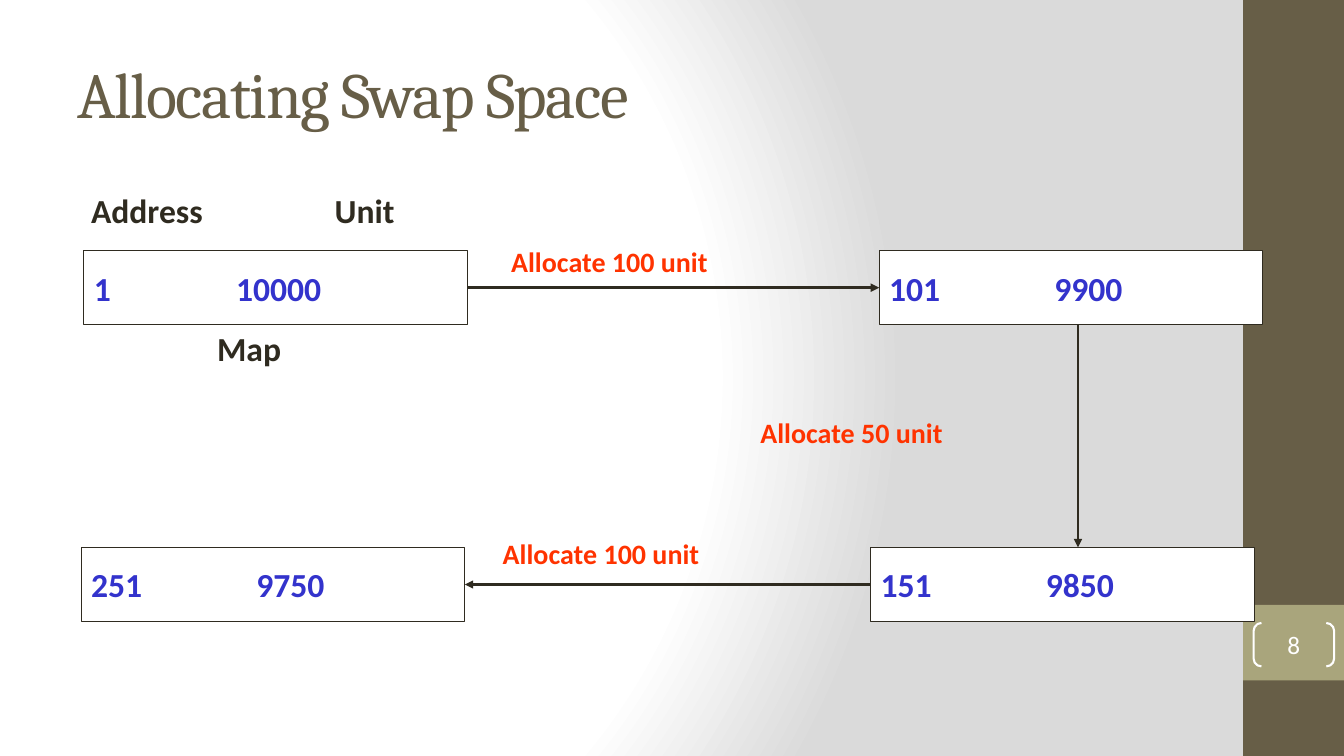
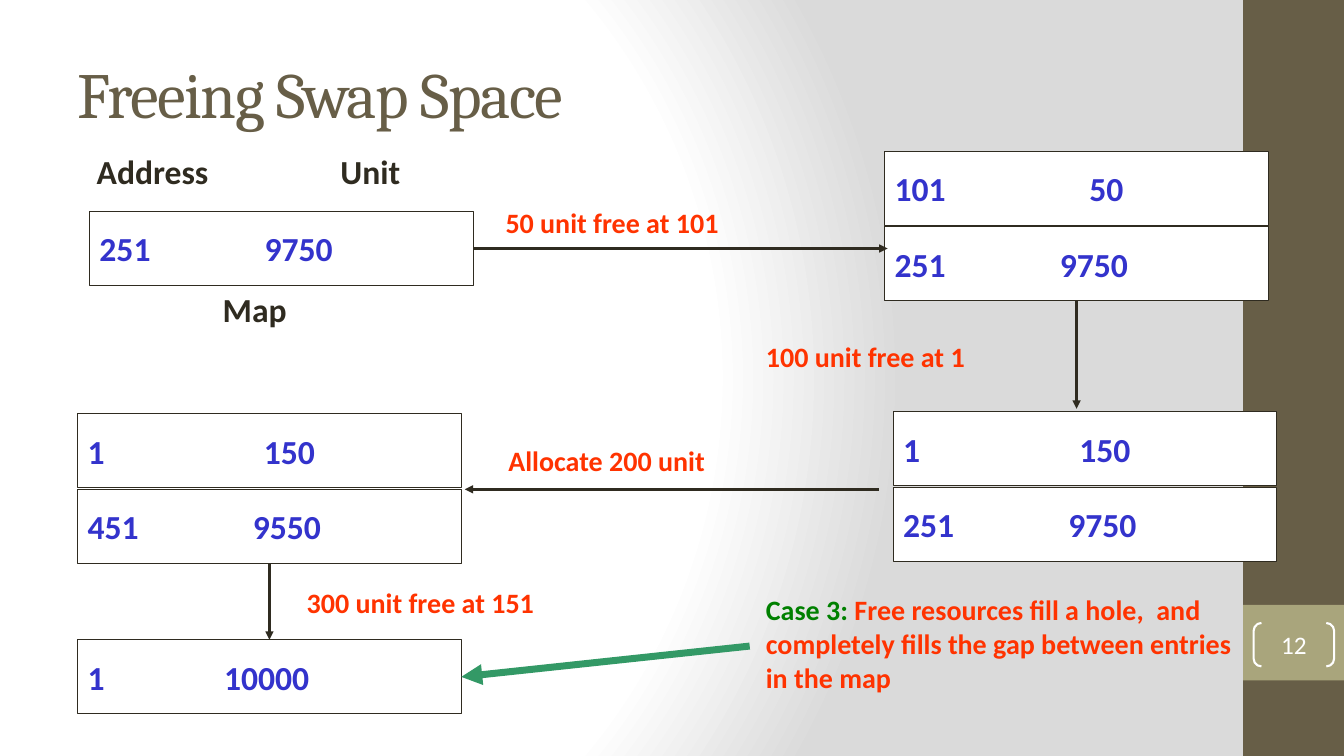
from pptx import Presentation
from pptx.dml.color import RGBColor
from pptx.enum.shapes import MSO_CONNECTOR, MSO_SHAPE
from pptx.enum.text import MSO_ANCHOR, PP_ALIGN
from pptx.oxml import parse_xml
from pptx.oxml.ns import nsdecls
from pptx.util import Pt
from lxml.etree import SubElement
from pptx.oxml.ns import qn

INK, BLUE, RED, GREEN = "2F2B20", "3333CC", "FF3300", "008000"
BROWN, OLIVE, WHITE, JADE = "675E47", "A9A57C", "FFFFFF", "339966"
WIDE, HIGH, PITCH = 274, 53, 54


def tint(code):
    return RGBColor.from_string(code)


def write(para, text, size, code, bold=True, face="Calibri"):
    run = para.add_run()
    run.text = text
    run.font.size = Pt(size)
    run.font.name = face
    run.font.bold = bold
    run.font.color.rgb = tint(code)
    return run


def shape(slide, kind, left, top, width, height, fill=None, line=None, weight=0.75):
    item = slide.shapes.add_shape(kind, Pt(left), Pt(top), Pt(width), Pt(height))
    item.shadow.inherit = False
    if fill:
        item.fill.solid()
        item.fill.fore_color.rgb = tint(fill)
    else:
        item.fill.background()
    if line:
        item.line.color.rgb = tint(line)
        item.line.width = Pt(weight)
    else:
        item.line.fill.background()
    return item


def label(slide, left, top, runs, size=20, width=190, height=32):
    area = slide.shapes.add_textbox(Pt(left), Pt(top), Pt(width), Pt(height))
    area.text_frame.word_wrap = True
    for text, code in runs:
        write(area.text_frame.paragraphs[0], text, size, code)


def entry(slide, left, top, start, units, tab=118):
    box = shape(slide, MSO_SHAPE.RECTANGLE, left, top, WIDE, HIGH, WHITE, INK)
    frame = box.text_frame
    frame.word_wrap = True
    frame.vertical_anchor = MSO_ANCHOR.MIDDLE
    para = frame.paragraphs[0]
    para.alignment = PP_ALIGN.LEFT
    tabs = SubElement(para._p.get_or_add_pPr(), qn("a:tabLst"))
    SubElement(tabs, qn("a:tab"), pos=str(Pt(tab)), algn="l")
    write(para, start, 24, BLUE)
    write(para, "\t" + units, 24, BLUE)
    return box


def stack(slide, left, top, rows):
    return [entry(slide, left, top + i * PITCH, *row) for i, row in enumerate(rows)]


def legend(slide, left, top, *row):
    for text, x, y in (("Address", -2, -47), ("Unit", 172, -47), ("Map", 88, 52)):
        label(slide, left + x, top + y, [(text, INK)], 24, 110, 36)
    return entry(slide, left, top, *row)


def arrow(slide, start, end, code=INK, weight=2):
    points = [Pt(value) for value in (*start, *end)]
    link = slide.shapes.add_connector(MSO_CONNECTOR.STRAIGHT, *points)
    link.line.color.rgb = tint(code)
    link.line.width = Pt(weight)
    SubElement(link.line._get_or_add_ln(), qn("a:tailEnd"), type="triangle")
    SubElement(link.element.spPr, qn("a:effectLst"))
    return link


def shade(slide):
    slide.background.fill.solid()
    prop = slide.element.cSld.bg.bgPr
    stops = "".join(
        f'<a:gs pos="{spot * 1000}"><a:srgbClr val="{code}"/></a:gs>'
        for spot, code in ((0, WHITE), (75, WHITE), (100, "DADADA"))
    )
    grade = parse_xml(
        f'<a:gradFill {nsdecls("a")} rotWithShape="1"><a:gsLst>{stops}</a:gsLst>'
        '<a:path path="circle"><a:fillToRect l="20000" t="50000" r="100000" b="50000"/>'
        "</a:path></a:gradFill>"
    )
    prop.replace(prop[0], grade)


def base(prs, title, page):
    slide = prs.slides.add_slide(prs.slide_layouts[6])
    shade(slide)
    shape(slide, MSO_SHAPE.RECTANGLE, 888, 0, 72, 540, BROWN)
    shape(slide, MSO_SHAPE.RECTANGLE, 888, 432, 72, 54, OLIVE)
    badge = shape(slide, MSO_SHAPE.DOUBLE_BRACKET, 895.5, 445, 57.5, 31, None, WHITE, 1.5)
    badge.adjustments[0] = 0.18
    frame = badge.text_frame
    frame.margin_left = frame.margin_right = frame.margin_top = frame.margin_bottom = 0
    frame.vertical_anchor = MSO_ANCHOR.MIDDLE
    frame.paragraphs[0].alignment = PP_ALIGN.CENTER
    write(frame.paragraphs[0], page, 18, WHITE, False)
    head = slide.shapes.add_textbox(Pt(48), Pt(21.5), Pt(800), Pt(90)).text_frame
    head.word_wrap = True
    head.vertical_anchor = MSO_ANCHOR.MIDDLE
    run = write(head.paragraphs[0], title, 46, BROWN, False, "Cambria")
    run.font._element.set("spc", "-100")
    return slide


def grant(prs):
    slide = base(prs, "Allocating Swap Space", "8")
    first = legend(slide, 60, 179, "1", "10000", 101.5)
    second = entry(slide, 628, 179, "101", "9900")
    third = entry(slide, 622, 391, "151", "9850")
    fourth = entry(slide, 58, 391, "251", "9750")
    link = arrow(slide, (334, 205.5), (628, 205.5))
    link.begin_connect(first, 3)
    link.end_connect(second, 1)
    arrow(slide, (770, 232), (770, 391))
    link = arrow(slide, (622, 417.5), (332, 417.5))
    link.begin_connect(third, 1)
    link.end_connect(fourth, 3)
    for left, top, count in ((358, 171, 100), (536, 293, 50), (352, 380, 100)):
        label(slide, left, top, [(f"Allocate {count} unit", RED)])


def free(prs):
    slide = base(prs, "Freeing Swap Space", "12")
    first = legend(slide, 64, 151, "251", "9750")
    second = stack(slide, 632, 108, [("101", "50", 139), ("251", "9750")])
    stack(slide, 638, 294, [("1", "150", 126), ("251", "9750")])
    fourth = stack(slide, 55.5, 295.5, [("1", "150", 126), ("451", "9550")])
    last = entry(slide, 55.5, 457, "1", "10000", 97.5)
    arrow(slide, (338, 177.5), (634, 177.5)).begin_connect(first, 3)
    arrow(slide, (769, 215), (769, 292)).begin_connect(second[-1], 2)
    arrow(slide, (628, 349.5), (332, 349.5))
    link = arrow(slide, (192.5, 402.5), (192.5, 457))
    link.begin_connect(fourth[-1], 2)
    link.end_connect(last, 0)
    arrow(slide, (535.5, 461.5), (329.5, 483.5), JADE, 5).end_connect(last, 3)
    for left, top, text in (
        (354, 143, "50 unit free at 101"),
        (540, 239, "100 unit free at 1"),
        (356, 313, "Allocate 200 unit"),
        (212, 415, "300 unit free at 151"),
    ):
        label(slide, left, top, [(text, RED)])
    rest = " Free resources fill a hole,  and completely fills the gap between entries in the map"
    label(slide, 540, 420, [("Case 3:", GREEN), (rest, RED)], width=360, height=80)


def main():
    prs = Presentation()
    prs.slide_width, prs.slide_height = Pt(960), Pt(540)
    grant(prs)
    free(prs)
    prs.save("out.pptx")


if __name__ == "__main__":
    main()
